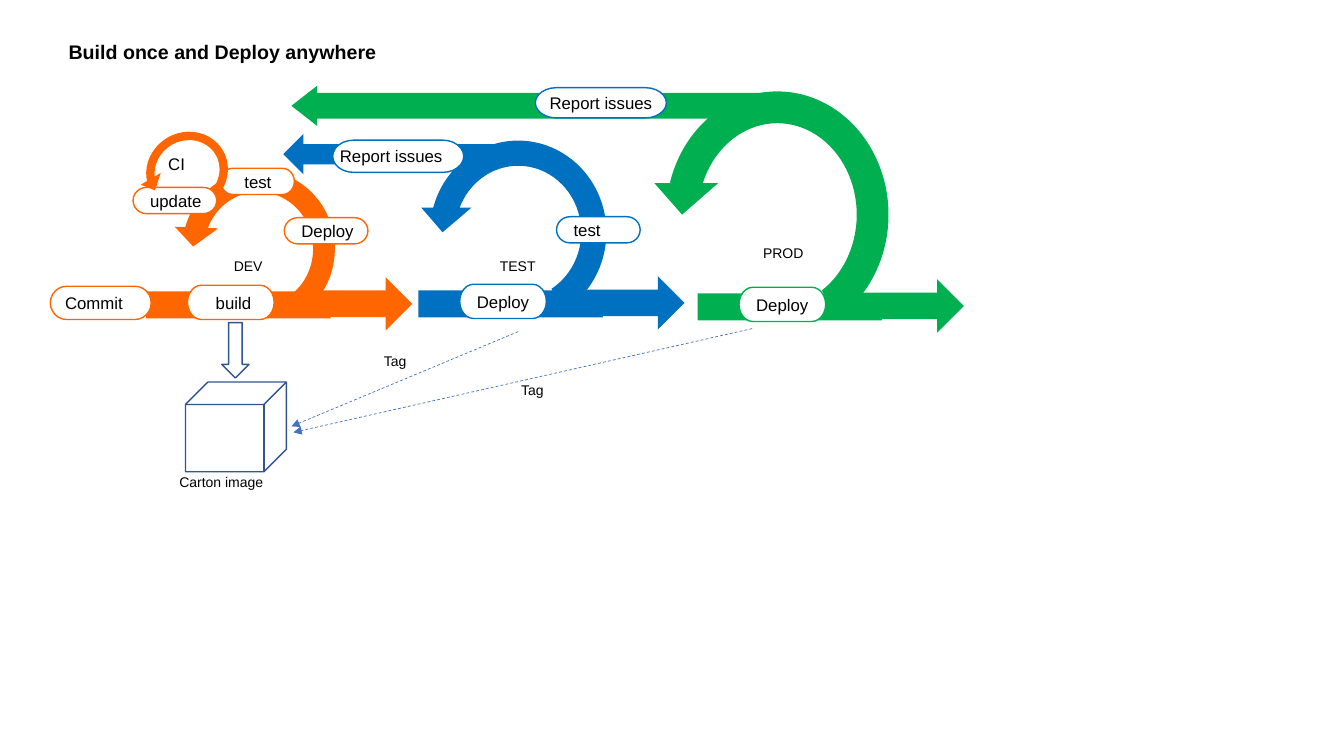
import dataclasses
import pptx
import pptx.dml.color
import pptx.enum.dml
import pptx.enum.shapes
import pptx.enum.text
import pptx.oxml
import pptx.oxml.ns
import pptx.util


@dataclasses.dataclass
class Theme:
    dev: str = "FF6600"
    test: str = "0070C0"
    prod: str = "00B050"
    ink: str = "000000"
    white: str = "FFFFFF"
    edge: str = "325491"
    dash: str = "4472C4"
    font: str = "Arial"
    head: int = 14
    body: int = 12
    small: int = 10


theme = Theme()
form = pptx.enum.shapes.MSO_SHAPE
rgb = pptx.dml.color.RGBColor.from_string

deck = pptx.Presentation()
deck.slide_width = pptx.util.Inches(13.33)
deck.slide_height = pptx.util.Inches(7.5)
cell = deck.slide_width / 13.33
slide = deck.slides.add_slide(deck.slide_layouts[5])
shapes = slide.shapes


def draw(kind, box, fill=None, edge=None, bends=(), flip=False, turn=0):
    shape = shapes.add_shape(kind, *[round(n * cell) for n in box])
    shape.shadow.inherit = False
    if fill:
        shape.fill.solid()
        shape.fill.fore_color.rgb = rgb(fill)
    else:
        shape.fill.background()
    if edge:
        shape.line.color.rgb = rgb(edge)
        shape.line.width = pptx.util.Pt(1)
    else:
        shape.line.fill.background()
    for place, bend in enumerate(bends):
        shape.adjustments[place] = bend
    if flip:
        shape.element.spPr.get_or_add_xfrm().set("flipH", "1")
    shape.rotation = turn
    return shape


def write(text, box=None, shape=None, size=theme.body, bold=False, wrap=True, inset=(0.1, 0.05)):
    if box:
        left, top, width, height = [round(n * cell) for n in box]
        shape = shape or shapes.add_textbox(left, top, width, height)
        shape.left, shape.top, shape.width, shape.height = left, top, width, height
    frame = shape.text_frame
    frame.text = text
    frame.word_wrap = wrap
    frame.auto_size = pptx.enum.text.MSO_AUTO_SIZE.NONE
    frame.vertical_anchor = pptx.enum.text.MSO_ANCHOR.MIDDLE
    frame.margin_left = round(inset[0] * cell)
    frame.margin_top = frame.margin_bottom = round(inset[1] * cell)
    frame.margin_right = 0
    line = frame.paragraphs[0]
    line.alignment = pptx.enum.text.PP_ALIGN.LEFT
    font = line.runs[0].font
    font.name = theme.font
    font.size = pptx.util.Pt(size)
    font.bold = bold
    font.color.rgb = rgb(theme.ink)


write("Build once and Deploy anywhere", box=(0.58, 0.34, 3.27, 0.34),
      shape=shapes.title, size=theme.head, bold=True, wrap=False)

lanes = [
    (theme.dev, 1.45, 2.89, (1.7, 1.58, 1.73, 1.78), 10.15),
    (theme.test, 4.15, 2.88, (4.14, 1.27, 2, 2.07), 11.42),
    (theme.prod, 6.92, 2.91, (6.45, 0.75, 2.52, 2.76), 11.42),
]
for tint, left, top, loop, tip in lanes:
    draw(form.RECTANGLE, (left, top, 1.83, 0.27), tint)
    draw(form.RIGHT_ARROW, (left + 1.57, top - 0.14, 1.07, 0.53), tint)
    draw(form.CIRCULAR_ARROW, loop, tint, flip=True, bends=(0.125, tip, 204.58, 72.26, 0.125))

draw(form.LEFT_ARROW, (2.89, 0.85, 4.89, 0.4), theme.prod, bends=(0.64, 0.64))
draw(form.LEFT_ARROW, (2.81, 1.33, 2.39, 0.4), theme.test)

steps = [("build", 0.24), ("Deploy", 0.13), ("Deploy", 0.13)]
pills = [
    (text, (left + 0.41, top - 0.06, 0.86, 0.34), tint, inset)
    for (text, inset), (tint, left, top, loop, tip) in zip(steps, lanes)
]
pills += [
    ("Commit", (0.5, 2.84, 1, 0.33), theme.dev, 0.1),
    ("Deploy", (2.82, 2.16, 0.83, 0.26), theme.dev, 0.13),
    ("test", (2.19, 1.67, 0.73, 0.26), theme.dev, 0.2),
    ("update", (1.32, 1.86, 0.83, 0.26), theme.dev, 0.13),
    ("test", (5.52, 2.15, 0.83, 0.26), theme.test, 0.13),
    ("Report issues", (5.31, 0.87, 1.3, 0.3), theme.test, 0.08),
    ("Report issues", (3.3, 1.39, 1.3, 0.32), theme.test, 0.01),
]
for text, box, tint, inset in pills:
    pill = draw(form.FLOWCHART_TERMINATOR, box, theme.white, tint)
    write(text, shape=pill, inset=(inset, 0))

draw(form.CIRCULAR_ARROW, (1.37, 1.24, 0.97, 0.92), theme.dev, flip=True, turn=330.3,
     bends=(0.09, 11.42, 205.2, 75.75, 0.125))
write("CI", box=(1.57, 1.48, 0.6, 0.3))

draw(form.DOWN_ARROW, (2.2, 3.2, 0.27, 0.55), edge=theme.edge)
draw(form.CUBE, (1.84, 3.79, 1, 0.89), edge=theme.edge)

labels = [
    ("DEV", 2.22, 2.5, 0.55),
    ("TEST", 4.86, 2.5, 0.77),
    ("PROD", 7.47, 2.37, 0.77),
    ("Carton image", 1.68, 4.65, 1.59),
    ("Tag", 3.71, 3.45, 1.59),
    ("Tag", 5.07, 3.73, 1.59),
]
for text, left, top, width in labels:
    write(text, box=(left, top, width, 0.27), size=theme.small)

for ends in [(5.14, 3.29, 2.89, 4.23), (7.46, 3.26, 2.91, 4.29)]:
    link = shapes.add_connector(pptx.enum.shapes.MSO_CONNECTOR.STRAIGHT,
                                *[round(n * cell) for n in ends])
    link.line.color.rgb = rgb(theme.dash)
    link.line.width = pptx.util.Pt(0.5)
    link.line.dash_style = pptx.enum.dml.MSO_LINE.DASH
    tail = pptx.oxml.parse_xml(f'<a:tailEnd {pptx.oxml.ns.nsdecls("a")} type="triangle"/>')
    link.line._get_or_add_ln().append(tail)
    blank = pptx.oxml.parse_xml(f'<a:effectLst {pptx.oxml.ns.nsdecls("a")}/>')
    link.element.spPr.append(blank)

deck.save("out.pptx")
